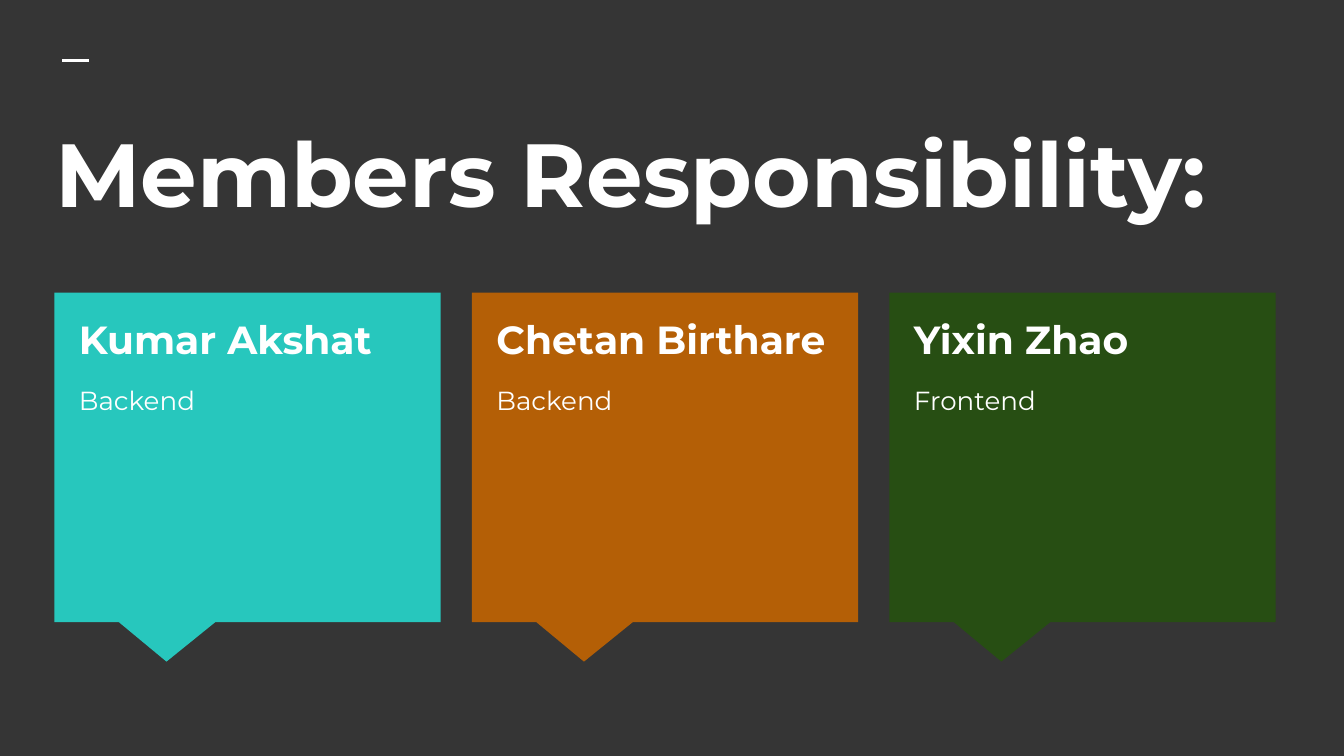
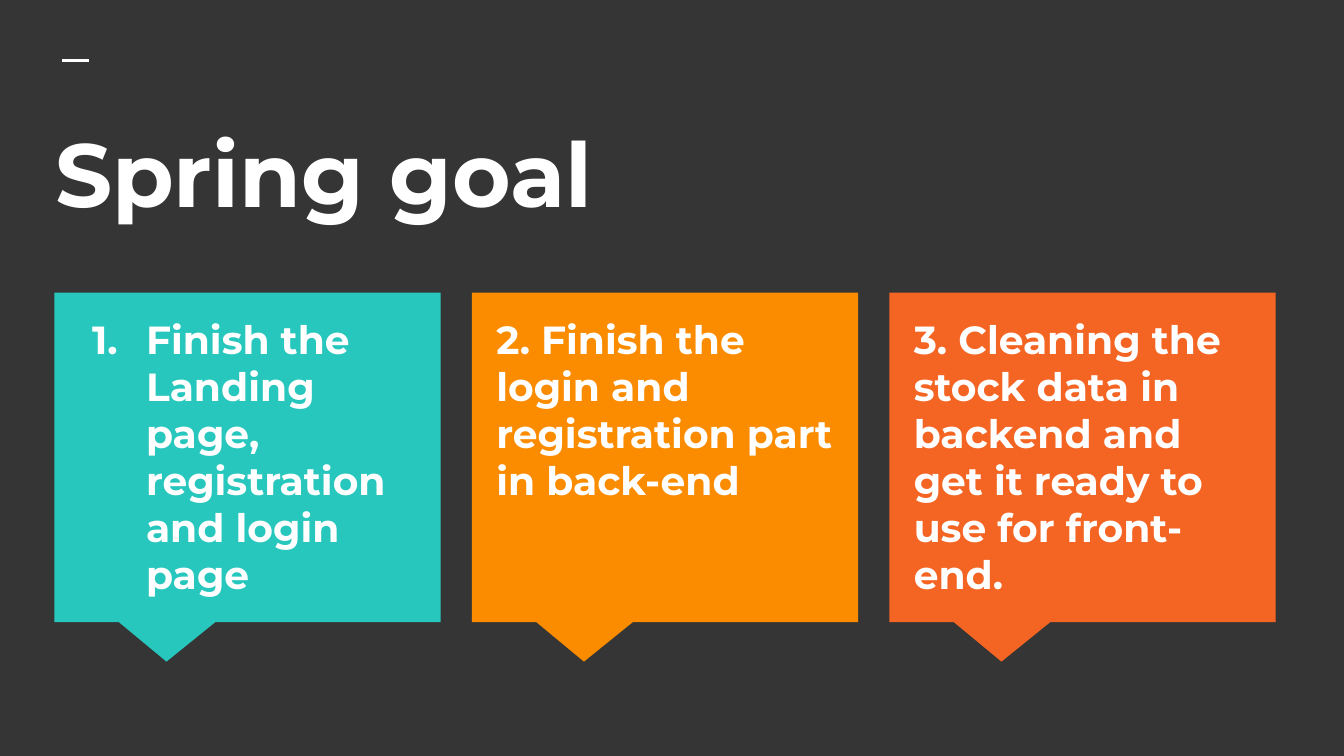
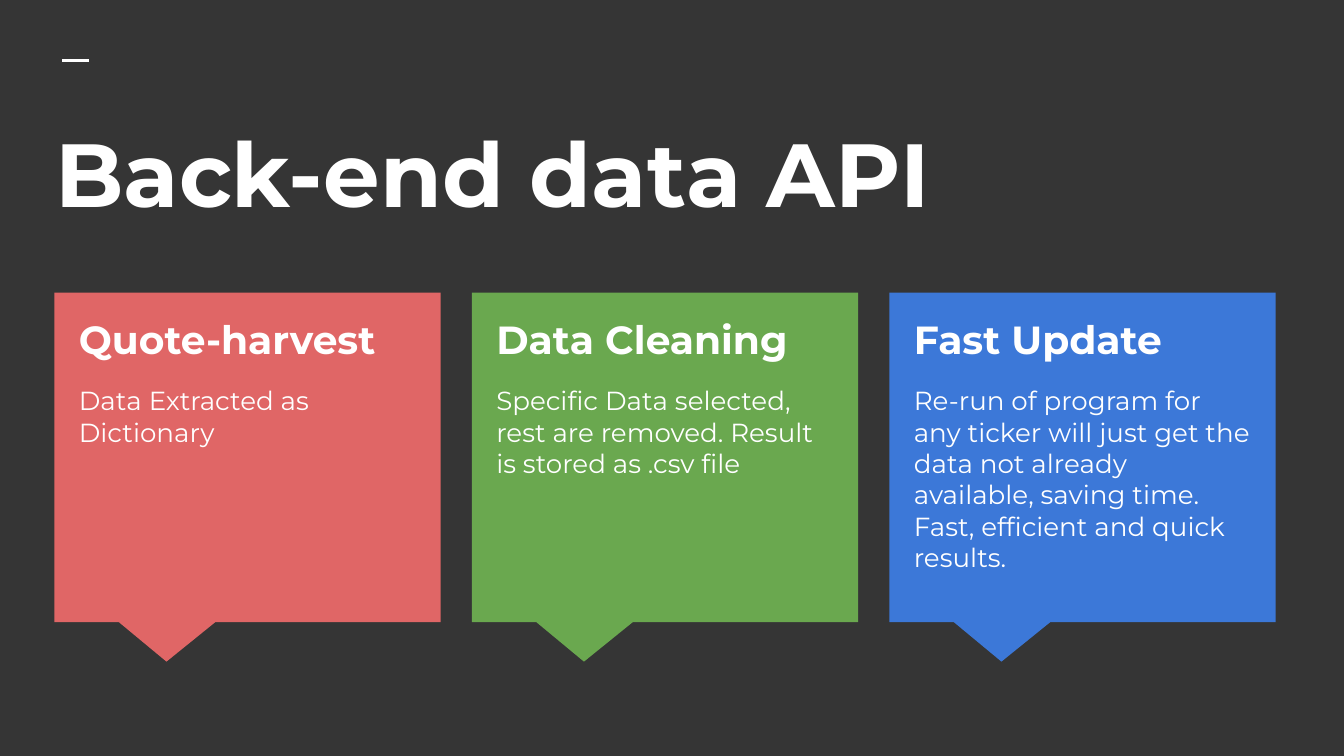
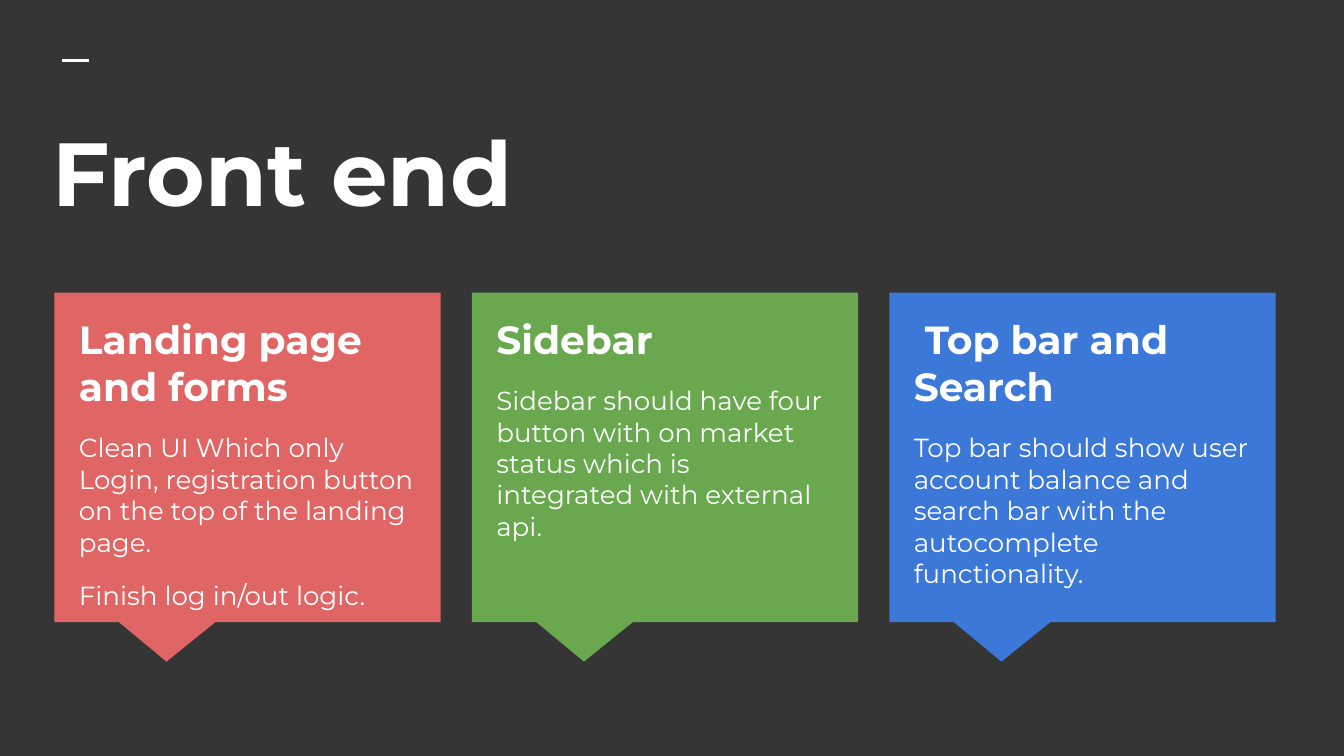
from lxml.etree import SubElement
from pptx import Presentation
from pptx.dml.color import RGBColor
from pptx.enum.shapes import MSO_CONNECTOR as Connector, MSO_SHAPE as Shape
from pptx.enum.text import MSO_ANCHOR as Anchor, MSO_AUTO_SIZE as AutoSize, PP_ALIGN as Align
from pptx.oxml.ns import qn
from pptx.util import Cm, Pt

CHARCOAL = RGBColor(0x35, 0x35, 0x35)
WHITE = RGBColor(0xFF, 0xFF, 0xFF)
TEAL = RGBColor(0x27, 0xC7, 0xBD)
BROWN = RGBColor(0xB4, 0x5F, 0x06)
FOREST = RGBColor(0x27, 0x4E, 0x13)
AMBER = RGBColor(0xFB, 0x8C, 0x00)
ORANGE = RGBColor(0xF4, 0x65, 0x24)
CORAL = RGBColor(0xE0, 0x66, 0x66)
GREEN = RGBColor(0x6A, 0xA8, 0x4F)
BLUE = RGBColor(0x3C, 0x78, 0xD8)

FONT = "Montserrat"
INSET = Cm(0.25)
TITLE_BOX = (Cm(0.79), Cm(1.98), Cm(23.95), Cm(2.84))
FRONT_END_TITLE_BOX = (Cm(0.74), Cm(1.96), Cm(23.95), Cm(2.84))
CARD_LEFT, CARD_TOP = Cm(1.03), Cm(5.53)
CARD_WIDTH, CARD_HEIGHT = Cm(7.3), Cm(6.23)
CARD_STEP = Cm(7.89)
COMPARISON_LAYOUT = 4
CARD_SLOTS = (1, 2, 3)
SPARE_SLOT = 4


def set_marker(paragraph, numbered):
    properties = paragraph._p.get_or_add_pPr()
    properties.set("marL", str(Cm(1.27) if numbered else 0))
    properties.set("indent", str(Cm(-1.02) if numbered else 0))
    if numbered:
        SubElement(properties, qn("a:buAutoNum"), type="arabicPeriod")
    else:
        SubElement(properties, qn("a:buNone"))


def format_paragraph(paragraph, size, bold, before=0, numbered=False):
    paragraph.alignment = Align.LEFT
    paragraph.space_before = Pt(before)
    paragraph.space_after = Pt(0)
    set_marker(paragraph, numbered)
    for run in paragraph.runs:
        run.font.name = FONT
        run.font.size = Pt(size)
        run.font.bold = bold
        run.font.color.rgb = WHITE


def place_text(placeholder, box, lines):
    placeholder.left, placeholder.top, placeholder.width, placeholder.height = box
    frame = placeholder.text_frame
    frame.text = "\n".join(lines)
    frame.word_wrap = True
    frame.auto_size = AutoSize.NONE
    frame.vertical_anchor = Anchor.TOP
    frame.margin_left = frame.margin_right = INSET
    frame.margin_top = frame.margin_bottom = INSET
    return frame.paragraphs


def add_title(slide, box, title):
    for paragraph in place_text(slide.shapes.title, box, [title]):
        format_paragraph(paragraph, 48, True)


def add_card(slide, box, slot, fill, lines, numbered):
    left, top, width, height = box
    callout = slide.shapes.add_shape(Shape.RECTANGULAR_CALLOUT, *box)
    callout.adjustments[0] = -0.21
    callout.adjustments[1] = 0.62
    callout.shadow.inherit = False
    callout.fill.solid()
    callout.fill.fore_color.rgb = fill
    callout.line.fill.background()

    card_text = slide.placeholders[slot]
    card_text.element.addprevious(callout.element)
    text_box = (left + Cm(0.21), top + Cm(0.18), width - Cm(0.42), height - Cm(0.67))
    heading, *details = place_text(card_text, text_box, lines)
    format_paragraph(heading, 21, True, numbered=numbered)
    for detail in details:
        format_paragraph(detail, 14, False, before=12)


def add_cards_slide(deck, title, cards, title_box=TITLE_BOX, numbered_slot=None):
    slide = deck.slides.add_slide(deck.slide_layouts[COMPARISON_LAYOUT])
    spare = slide.placeholders[SPARE_SLOT].element
    spare.getparent().remove(spare)
    add_title(slide, title_box, title)
    for column, (slot, (fill, *lines)) in enumerate(zip(CARD_SLOTS, cards)):
        box = (CARD_LEFT + column * CARD_STEP, CARD_TOP, CARD_WIDTH, CARD_HEIGHT)
        add_card(slide, box, slot, fill, lines, slot == numbered_slot)
    return slide


def add_layout_dash(slide, left, top, width):
    dash = slide.shapes.add_connector(Connector.STRAIGHT, left, top, left + width, top)
    dash.line.color.rgb = WHITE
    dash.line.width = Pt(1.5)
    SubElement(dash.element.spPr, qn("a:effectLst"))
    slide.slide_layout.shapes.element.append(dash.element)


deck = Presentation()
deck.slide_width, deck.slide_height = Cm(25.4), Cm(14.29)
master_fill = deck.slide_master.background.fill
master_fill.solid()
master_fill.fore_color.rgb = CHARCOAL

members = add_cards_slide(deck, "Members Responsibility:", [
    (TEAL, "Kumar Akshat", "Backend"),
    (BROWN, "Chetan Birthare", "Backend"),
    (FOREST, "Yixin Zhao", "Frontend"),
])
add_layout_dash(members, Cm(1.18), Cm(1.15), Cm(0.51))

add_cards_slide(deck, "Spring goal", [
    (TEAL, "Finish the Landing page, registration and login page"),
    (AMBER, "2. Finish the login and registration part in back-end"),
    (ORANGE, "3. Cleaning the stock data in backend and get it ready to use for front-end."),
], numbered_slot=1)

add_cards_slide(deck, "Back-end data API", [
    (CORAL, "Quote-harvest", "Data Extracted as Dictionary"),
    (GREEN, "Data Cleaning",
     "Specific Data selected, rest are removed. Result is stored as .csv file"),
    (BLUE, "Fast Update",
     "Re-run of program for any ticker will just get the data not already available, "
     "saving time. Fast, efficient and quick results."),
])

add_cards_slide(deck, "Front end", [
    (CORAL, "Landing page and forms",
     "Clean UI Which only Login, registration button on the top of the landing page.",
     "Finish log in/out logic."),
    (GREEN, "Sidebar",
     "Sidebar should have four button with on market status which is integrated "
     "with external api."),
    (BLUE, " Top bar and Search",
     "Top bar should show user account balance and search bar with the autocomplete "
     "functionality."),
], title_box=FRONT_END_TITLE_BOX)

deck.save("out.pptx")
